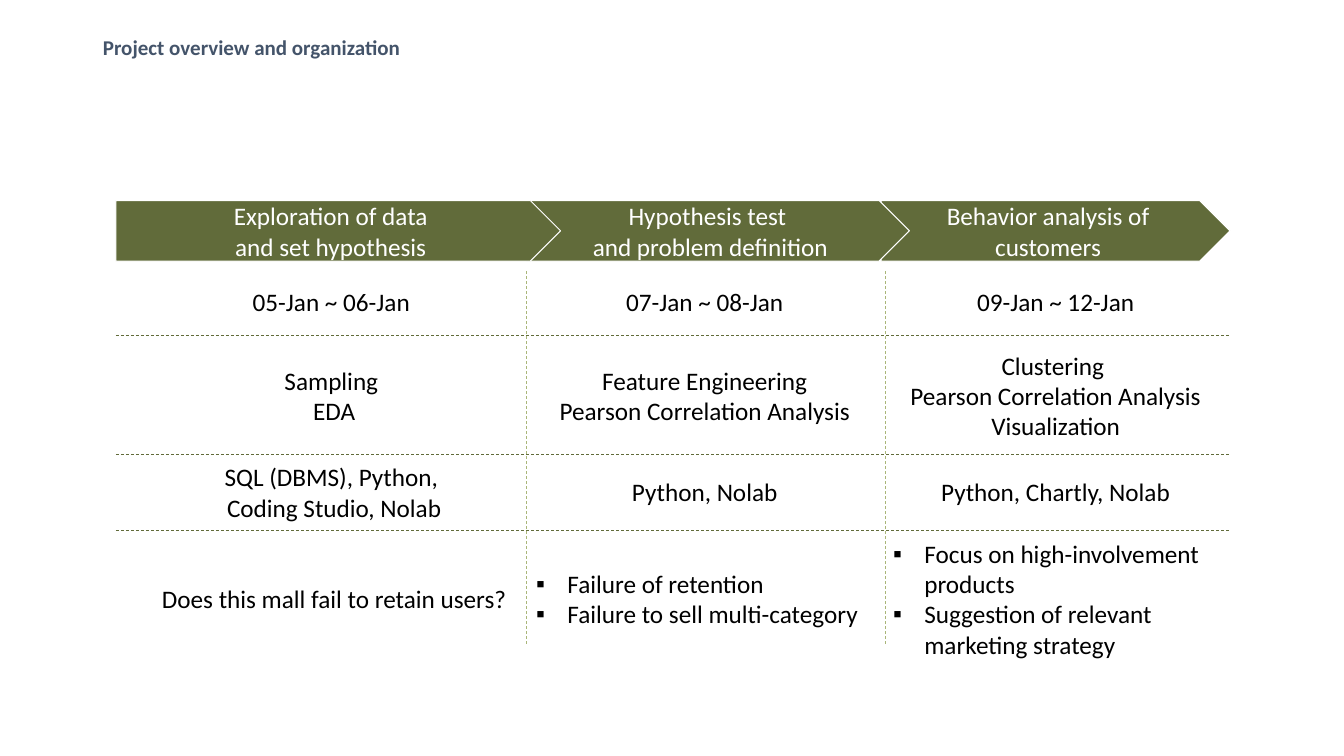
from dataclasses import dataclass

from lxml.etree import SubElement
from pptx import Presentation
from pptx.dml.color import RGBColor
from pptx.enum.dml import MSO_LINE_DASH_STYLE as Dash
from pptx.enum.shapes import MSO_CONNECTOR as Connector
from pptx.enum.shapes import MSO_SHAPE as Preset
from pptx.enum.text import MSO_ANCHOR as Anchor
from pptx.enum.text import MSO_AUTO_SIZE as AutoSize
from pptx.enum.text import PP_ALIGN as Align
from pptx.oxml.ns import qn
from pptx.slide import Slide
from pptx.text.text import TextFrame
from pptx.util import Inches, Pt

OLIVE = RGBColor(0x61, 0x6B, 0x3A)
LIGHT_OLIVE = RGBColor(0xAA, 0xB6, 0x79)
SLATE = RGBColor(0x44, 0x54, 0x6A)
WHITE = RGBColor(0xFF, 0xFF, 0xFF)
BLACK = RGBColor(0, 0, 0)
FONT = "Calibri"

TABLE_LEFT, TABLE_RIGHT = 1.15, 12.19
HEADER_TOP, HEADER_HEIGHT = 1.99, 0.6
DIVIDER_TOP, DIVIDER_BOTTOM = 2.69, 6.39


@dataclass(frozen=True)
class Phase:
    left: float
    arrow_width: float
    cell_left: float
    cell_width: float
    header: str
    cells: tuple[str, str, str, str]
    bulleted_outcome: bool = True


@dataclass(frozen=True)
class Row:
    top: float
    height: float


@dataclass(frozen=True)
class Rule:
    start: tuple[float, float]
    end: tuple[float, float]
    color: RGBColor


PHASES = (
    Phase(1.15, 4.41, 1.15, 4.33, "Exploration of data\nand set hypothesis",
          ("05-Jan ~ 06-Jan ", "Sampling \nEDA",
           "SQL (DBMS), Python, \vCoding Studio, Nolab",
           "Does this mall fail to retain users?"), False),
    Phase(5.22, 3.8, 5.22, 3.54, "Hypothesis test \vand problem definition",
          ("07-Jan ~ 08-Jan", "Feature Engineering\nPearson Correlation Analysis",
           "Python, Nolab",
           "Failure of retention\nFailure to sell multi-category")),
    Phase(8.74, 3.46, 8.76, 3.42, "Behavior analysis of customers",
          ("09-Jan ~ 12-Jan",
           "Clustering \nPearson Correlation Analysis\nVisualization",
           "Python, Chartly, Nolab",
           "Focus on high-involvement products\n"
           "Suggestion of relevant marketing strategy")),
)
ROWS = (Row(2.69, 0.6), Row(3.39, 1.07), Row(4.55, 0.66), Row(5.31, 1.26))
RULES = tuple(
    Rule((x, DIVIDER_TOP), (x, DIVIDER_BOTTOM), LIGHT_OLIVE) for x in (5.22, 8.78)
) + tuple(
    Rule((TABLE_LEFT, y), (TABLE_RIGHT, y), OLIVE) for y in (3.33, 4.51, 5.26)
)


def write_text(frame: TextFrame, text: str, color: RGBColor, size: float = 18,
               bold: bool = False, align: Align = Align.CENTER,
               anchor: Anchor = Anchor.MIDDLE) -> None:
    frame.text = text
    frame.word_wrap = True
    frame.auto_size = AutoSize.NONE
    frame.vertical_anchor = anchor
    for paragraph in frame.paragraphs:
        paragraph.alignment = align
        for run in paragraph.runs:
            run.font.name = FONT
            run.font.size = Pt(size)
            run.font.bold = bold
            run.font.color.rgb = color


def add_bullets(frame: TextFrame) -> None:
    for paragraph in frame.paragraphs:
        properties = paragraph._p.get_or_add_pPr()
        properties.set("marL", str(Inches(0.31)))
        properties.set("indent", str(Inches(-0.31)))
        SubElement(properties, qn("a:buFont"), typeface="Arial")
        SubElement(properties, qn("a:buChar"), char="▪")


def add_title(slide: Slide) -> None:
    title = slide.shapes.title
    title.left, title.top = Inches(0.92), Inches(0.15)
    title.width, title.height = Inches(3.5), Inches(0.49)
    write_text(title.text_frame, "Project overview and organization", SLATE,
               size=15, bold=True, align=Align.LEFT, anchor=Anchor.BOTTOM)
    paragraph = title.text_frame.paragraphs[0]
    paragraph.line_spacing = 0.7
    paragraph.space_before = Pt(10)


def add_header(slide: Slide, phase: Phase) -> None:
    arrow = slide.shapes.add_shape(
        Preset.PENTAGON, Inches(phase.left), Inches(HEADER_TOP),
        Inches(phase.arrow_width), Inches(HEADER_HEIGHT))
    arrow.shadow.inherit = False
    arrow.fill.solid()
    arrow.fill.fore_color.rgb = OLIVE
    arrow.line.color.rgb = WHITE
    arrow.line.width = Pt(0.75)
    frame = arrow.text_frame
    frame.margin_left = frame.margin_right = Inches(0.15)
    write_text(frame, phase.header, WHITE)


def add_cells(slide: Slide, phase: Phase) -> None:
    for row, text in zip(ROWS, phase.cells):
        bulleted = phase.bulleted_outcome and row is ROWS[-1]
        box = slide.shapes.add_textbox(
            Inches(phase.cell_left), Inches(row.top),
            Inches(phase.cell_width), Inches(row.height))
        write_text(box.text_frame, text, BLACK,
                   align=Align.LEFT if bulleted else Align.CENTER)
        if bulleted:
            add_bullets(box.text_frame)


def add_rule(slide: Slide, rule: Rule) -> None:
    connector = slide.shapes.add_connector(
        Connector.STRAIGHT, *map(Inches, rule.start + rule.end))
    connector.line.color.rgb = rule.color
    connector.line.width = Pt(0.5)
    connector.line.dash_style = Dash.DASH
    SubElement(connector._element.spPr, qn("a:effectLst"))


def main() -> None:
    presentation = Presentation()
    presentation.slide_width = Inches(13.33)
    presentation.slide_height = Inches(7.5)
    slide = presentation.slides.add_slide(presentation.slide_layouts[5])
    add_title(slide)
    for phase in reversed(PHASES):
        add_header(slide, phase)
    for phase in PHASES:
        add_cells(slide, phase)
    for rule in RULES:
        add_rule(slide, rule)
    presentation.save("out.pptx")


if __name__ == "__main__":
    main()
